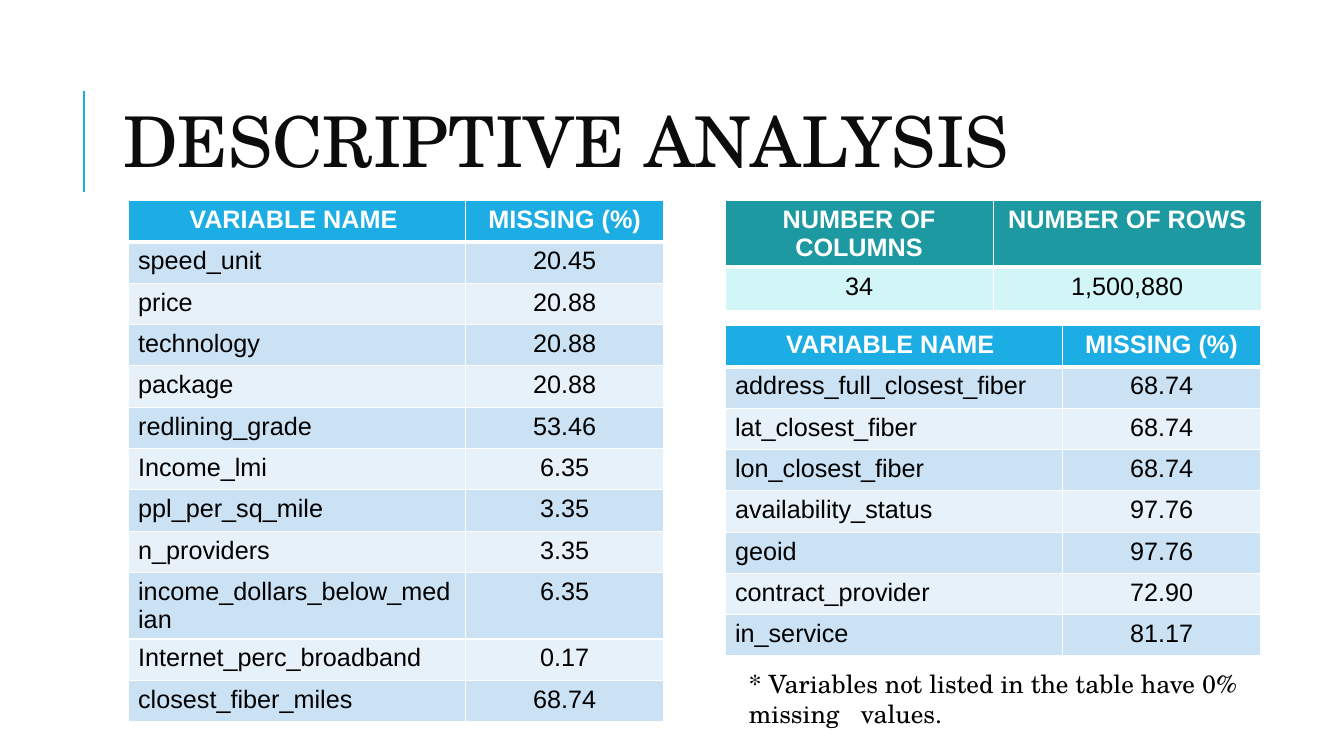
from dataclasses import dataclass

from lxml.etree import SubElement
from pptx import Presentation
from pptx.dml.color import RGBColor
from pptx.enum.shapes import MSO_CONNECTOR
from pptx.enum.text import MSO_ANCHOR, MSO_AUTO_SIZE, PP_ALIGN
from pptx.oxml.ns import qn
from pptx.util import Emu, Pt


@dataclass(frozen=True)
class Theme:
    heading_font: str = "TeX Gyre Schola"
    table_font: str = "Arial"
    title_size: int = 50
    body_size: int = 18
    title_ink: str = "0C0C0C"
    ink: str = "000000"
    white: str = "FFFFFF"
    blue: str = "1CADE4"
    blue_bands: tuple = ("CBE2F5", "E7F1FA")
    teal: str = "1D9AA1"
    teal_bands: tuple = ("D2F5F7",)
    thin: int = 1
    thick: int = 3


THEME = Theme()

MISSING_HEADER = ("VARIABLE NAME ", "MISSING (%)")
MISSING_LEFT = (
    ("speed_unit", "20.45"),
    ("price", "20.88"),
    ("technology", "20.88"),
    ("package", "20.88"),
    ("redlining_grade", "53.46"),
    ("Income_lmi", "6.35"),
    ("ppl_per_sq_mile", "3.35"),
    ("n_providers", "3.35"),
    ("income_dollars_below_median", "6.35"),
    ("Internet_perc_broadband", "0.17"),
    ("closest_fiber_miles", "68.74"),
)
MISSING_RIGHT = (
    ("address_full_closest_fiber", "68.74"),
    ("lat_closest_fiber", "68.74"),
    ("lon_closest_fiber", "68.74"),
    ("availability_status", "97.76"),
    ("geoid", "97.76"),
    ("contract_provider", "72.90"),
    ("in_service", "81.17"),
)
LEFT_X, RIGHT_X, TOP_Y = 127, 719, 199
MISSING_WIDTHS = (335, 196)


def px(length):
    """Turn px into EMU, at 100 px to the inch."""
    return Emu(length * 9144)


def add_run(paragraph, text, size, font, color, bold=False):
    run = paragraph.add_run()
    run.text = text
    run.font.size = Pt(size)
    run.font.name = font
    run.font.bold = bold
    run.font.color.rgb = RGBColor.from_string(color)


def add_accent_line(slide, x, top, bottom):
    accent = slide.shapes.add_connector(
        MSO_CONNECTOR.STRAIGHT, px(x), px(bottom), px(x), px(top))
    accent.line.color.rgb = RGBColor.from_string(THEME.blue)
    accent.line.width = Pt(1.5)
    SubElement(accent._element.spPr, qn("a:effectLst"))


def set_title(slide, text, left, top, width, height):
    title = slide.shapes.title
    title.left, title.top = px(left), px(top)
    title.width, title.height = px(width), px(height)
    frame = title.text_frame
    frame.word_wrap = True
    frame.auto_size = MSO_AUTO_SIZE.NONE
    frame.vertical_anchor = MSO_ANCHOR.MIDDLE
    paragraph = frame.paragraphs[0]
    paragraph.alignment = PP_ALIGN.LEFT
    paragraph.line_spacing = 0.8
    add_run(paragraph, text, THEME.title_size, THEME.heading_font, THEME.title_ink)


def set_borders(cell, top, bottom):
    """Draw white cell borders; the sides are thin, top and bottom in points."""
    properties = cell._tc.get_or_add_tcPr()
    widths = {"lnL": THEME.thin, "lnR": THEME.thin, "lnT": top, "lnB": bottom}
    for side, points in widths.items():
        border = SubElement(properties, qn(f"a:{side}"), w=str(Pt(points)))
        fill = SubElement(border, qn("a:solidFill"))
        SubElement(fill, qn("a:srgbClr"), val=THEME.white)


def add_data_table(slide, left, top, widths, heights, rows, header_fill, bands,
                   first_align=PP_ALIGN.LEFT):
    """Add a table with a header row and banded body; first_align is for body column one."""
    table = slide.shapes.add_table(
        len(rows), len(widths), px(left), px(top),
        px(sum(widths)), px(sum(heights))).table
    table.horz_banding = False
    for column, width in zip(table.columns, widths):
        column.width = px(width)
    for r, (values, height) in enumerate(zip(rows, heights)):
        table.rows[r].height = px(height)
        is_header = r == 0
        fill = header_fill if is_header else bands[(r - 1) % len(bands)]
        ink = THEME.white if is_header else THEME.ink
        for c, value in enumerate(values):
            cell = table.cell(r, c)
            set_borders(cell,
                        top=THEME.thick if r == 1 else THEME.thin,
                        bottom=THEME.thick if is_header else THEME.thin)
            cell.fill.solid()
            cell.fill.fore_color.rgb = RGBColor.from_string(fill)
            paragraph = cell.text_frame.paragraphs[0]
            in_first = c == 0 and not is_header
            paragraph.alignment = first_align if in_first else PP_ALIGN.CENTER
            add_run(paragraph, value, THEME.body_size, THEME.table_font, ink, is_header)


def add_missing_table(slide, left, top, variables):
    rows = (MISSING_HEADER, *variables)
    add_data_table(slide, left, top, MISSING_WIDTHS, [41] * len(rows), rows,
                   THEME.blue, THEME.blue_bands)


def add_note(slide, text, left, top, width, height):
    frame = slide.shapes.add_textbox(
        px(left), px(top), px(width), px(height)).text_frame
    frame.word_wrap = True
    frame.auto_size = MSO_AUTO_SIZE.SHAPE_TO_FIT_TEXT
    add_run(frame.paragraphs[0], text, THEME.body_size, THEME.heading_font, THEME.ink)


def main():
    deck = Presentation()
    deck.slide_width, deck.slide_height = px(1333), px(750)
    slide = deck.slides.add_slide(deck.slide_layouts[5])

    add_accent_line(slide, 83, 90, 190)
    set_title(slide, "DESCRIPTIVE ANALYSIS", 112, 64, 1063, 164)
    add_data_table(slide, RIGHT_X, TOP_Y, (266, 266), (44, 43),
                   (("NUMBER OF COLUMNS", "NUMBER OF ROWS"), ("34", "1,500,880")),
                   THEME.teal, THEME.teal_bands, first_align=PP_ALIGN.CENTER)
    add_missing_table(slide, LEFT_X, TOP_Y, MISSING_LEFT)
    add_missing_table(slide, RIGHT_X, 323, MISSING_RIGHT)
    add_note(slide, "* Variables not listed in the table have 0% missing   values.",
             733, 658, 531, 71)

    deck.save("out.pptx")


if __name__ == "__main__":
    main()
